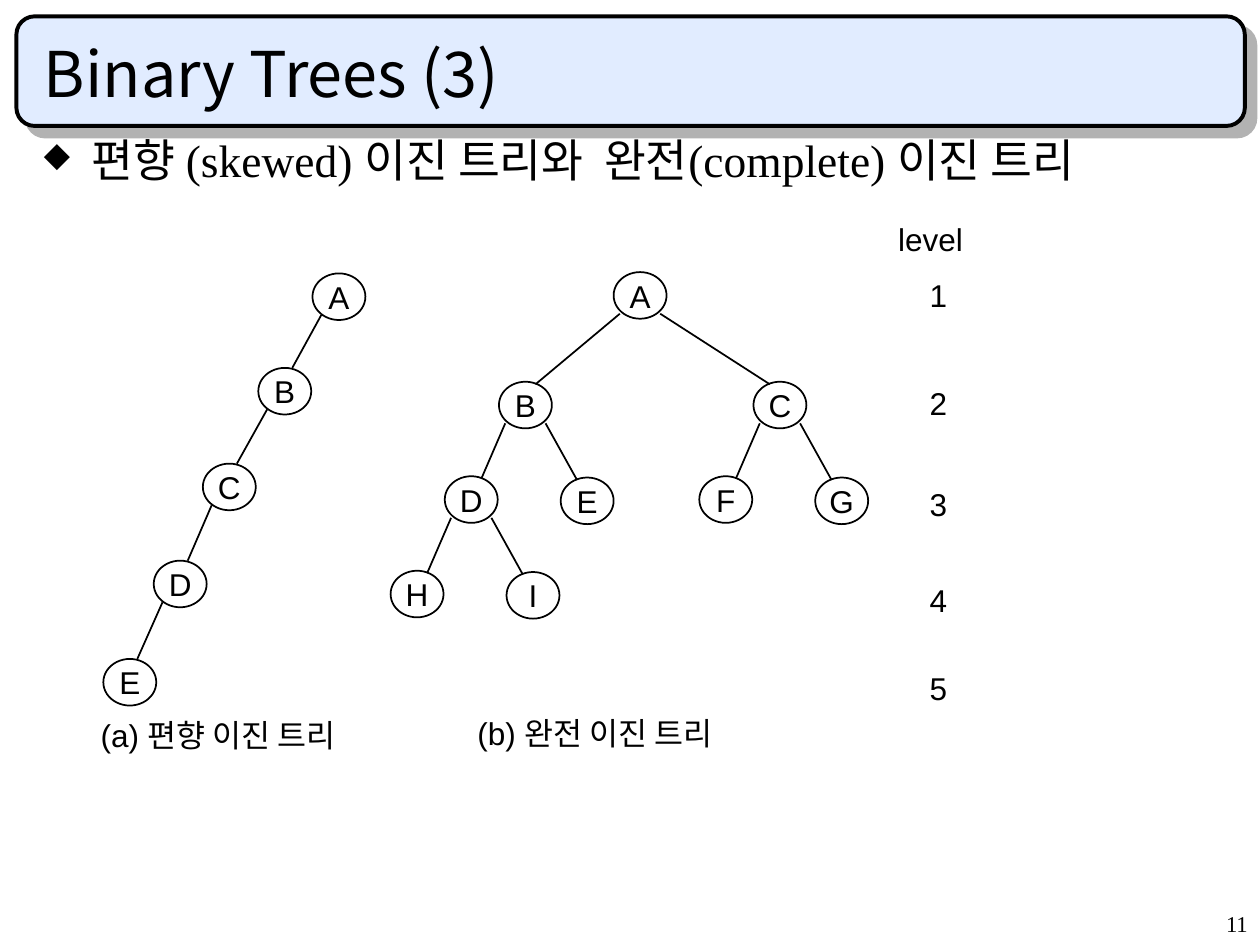
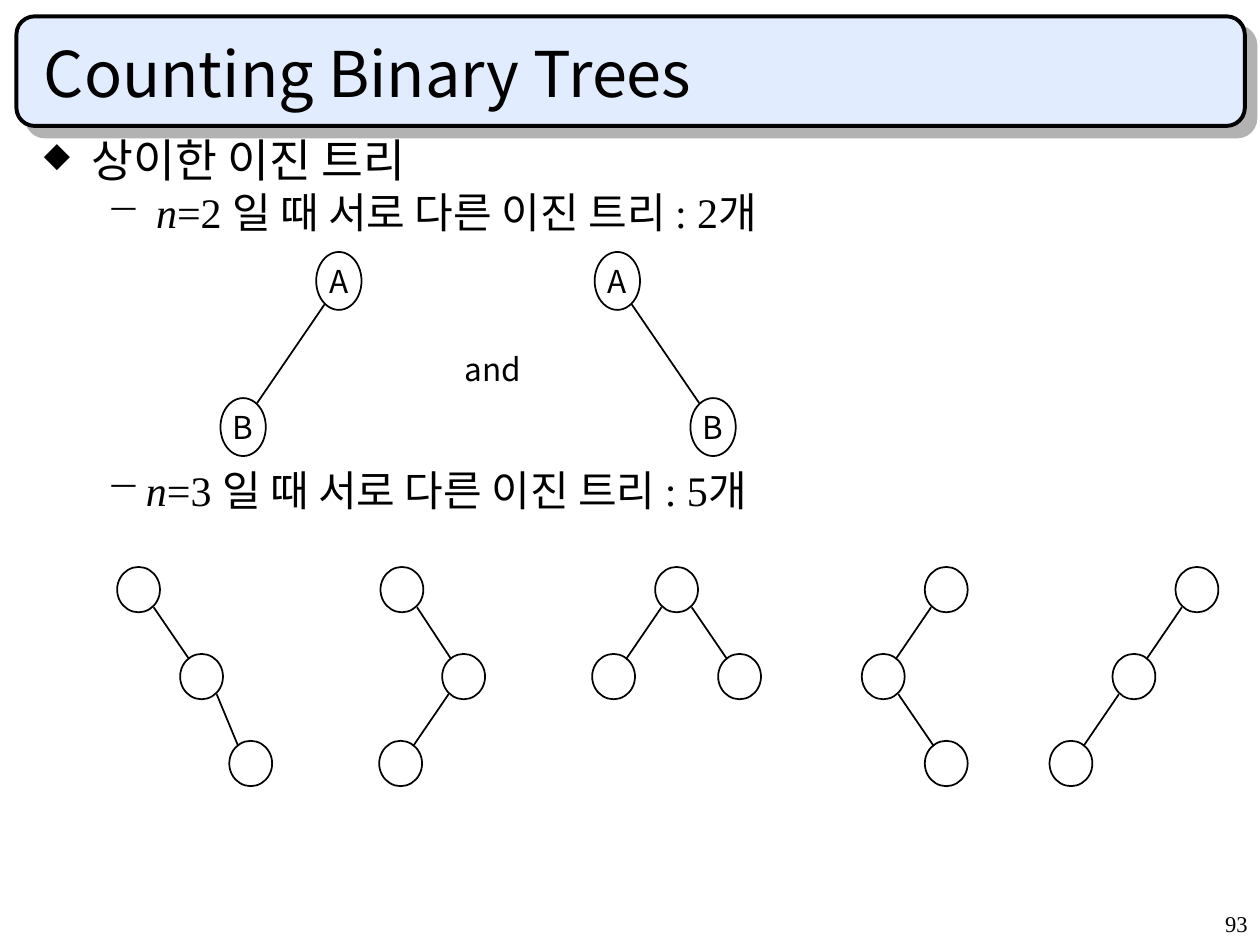
from lxml.etree import SubElement
from pptx import Presentation
from pptx.dml.color import RGBColor
from pptx.enum.shapes import MSO_CONNECTOR as Connector, MSO_SHAPE as Shape
from pptx.enum.text import MSO_ANCHOR as Anchor, PP_ALIGN as Align
from pptx.oxml.ns import qn
from pptx.util import Inches, Pt

BLACK, BAND, SHADOW = "000000", "E1ECFF", "B2B2B2"
SANS, KOREAN, SERIF = "Arial", "Noto Sans CJK KR", "Times New Roman"
DIAMOND = dict(char="◆", percent=75, margin=0.38, hang=0.38, size=26)
DASH = dict(char="−", percent=100, margin=0.81, hang=0.31, size=24)


def color(value):
    return RGBColor.from_string(value)


class TreeDeck:
    """Holds the shared style and the slide being filled."""

    def __init__(self):
        self.deck = Presentation()
        self.deck.slide_width, self.deck.slide_height = Inches(10), Inches(7.5)
        self.page = None

    def new_page(self, title, number):
        self.page = self.deck.slides.add_slide(self.deck.slide_layouts[6])
        self.band()
        self.text(title, 0.25, 0.25, 9.42, 0.67, 36, KOREAN,
                  wrap=True, anchor=Anchor.BOTTOM)
        self.text(number, 7.92, 7.17, 2.08, 0.33, 12.9, SERIF,
                  wrap=True, align=Align.RIGHT)

    def band(self):
        band = self.page.shapes.add_shape(
            Shape.ROUNDED_RECTANGLE, *map(Inches, (0.13, 0.13, 9.75, 0.87)))
        band.adjustments[0] = 0.167
        band.fill.solid()
        band.fill.fore_color.rgb = color(BAND)
        band.line.color.rgb = color(BLACK)
        band.line.width = Pt(2.25)
        band.shadow.inherit = False
        effects = band._element.spPr.find(qn("a:effectLst"))
        shadow = SubElement(effects, qn("a:outerShdw"), dist=str(Pt(8.5)),
                            dir=str(45 * 60000), algn="ctr", rotWithShape="0")
        SubElement(shadow, qn("a:srgbClr"), val=SHADOW)

    def style(self, para, size, face):
        para.font.size = Pt(size)
        para.font.name = face
        para.font.color.rgb = color(BLACK)
        defaults = para._p.pPr.find(qn("a:defRPr"))
        SubElement(defaults, qn("a:ea"), typeface=KOREAN)

    def text(self, words, left, top, width, height, size, face,
             wrap=False, anchor=Anchor.TOP, align=Align.LEFT):
        box = self.page.shapes.add_textbox(
            *map(Inches, (left, top, width, height)))
        frame = box.text_frame
        frame.word_wrap, frame.vertical_anchor = wrap, anchor
        para = frame.paragraphs[0]
        para.add_run().text = words
        para.alignment = align
        self.style(para, size, face)

    def bullets(self, left, top, width, height, items, spacing=0.8):
        """Each item is a bullet kind, an italic start, the text and an extra indent."""
        box = self.page.shapes.add_textbox(
            *map(Inches, (left, top, width, height)))
        frame = box.text_frame
        frame.word_wrap = True
        for index, (kind, italic, words, extra) in enumerate(items):
            para = frame.add_paragraph() if index else frame.paragraphs[0]
            para.line_spacing = spacing
            para.space_before = Pt(6 if index else 0)
            props = para._p.get_or_add_pPr()
            props.set("marL", str(Inches(kind["margin"] + extra)))
            props.set("indent", str(-Inches(kind["hang"] + extra)))
            tint = SubElement(props, qn("a:buClr"))
            SubElement(tint, qn("a:srgbClr"), val=BLACK)
            SubElement(props, qn("a:buSzPct"), val=str(kind["percent"] * 1000))
            SubElement(props, qn("a:buChar"), char=kind["char"])
            if italic:
                span = para.add_run()
                span.text, span.font.italic = italic, True
            para.add_run().text = words
            self.style(para, kind["size"], SERIF)

    def node(self, left, top, size, label, face):
        node = self.page.shapes.add_shape(
            Shape.OVAL, *map(Inches, (left, top, *size)))
        node.fill.background()
        node.line.color.rgb = color(BLACK)
        node.line.width = Pt(1)
        node.shadow.inherit = False
        if label:
            frame = node.text_frame
            frame.word_wrap, frame.vertical_anchor = False, Anchor.MIDDLE
            para = frame.paragraphs[0]
            para.add_run().text = label
            para.alignment = Align.CENTER
            self.style(para, 18, face)

    def edge(self, *ends):
        edge = self.page.shapes.add_connector(
            Connector.STRAIGHT, *map(Inches, ends))
        edge.line.color.rgb = color(BLACK)
        edge.line.width = Pt(1)
        SubElement(edge._element.spPr, qn("a:effectLst"))

    def tree(self, places, edges, size, start, end, labels="", face=SANS):
        """start and end are the offsets of an edge to a left child; right ones mirror them."""
        for index, (left, top) in enumerate(places):
            self.node(left, top, size, labels[index:index + 1], face)
        for parent, child in edges:
            (x1, y1), (x2, y2) = places[parent], places[child]
            dx1, dx2 = start[0], end[0]
            if x2 > x1:
                dx1, dx2 = size[0] - dx1, size[0] - dx2
            self.edge(x1 + dx1, y1 + start[1], x2 + dx2, y2 + end[1])


def children(parent):
    left, top = parent
    return [(left - 0.43, top + 0.75), (left + 0.49, top + 0.76)]


def skewed_and_complete(show):
    show.new_page("Binary Trees (3)", "11")
    show.bullets(0.25, 1.08, 9.42, 5.83, [
        (DIAMOND, "", "편향 (skewed) 이진 트리와  완전(complete) 이진 트리", 0)])
    oval = (0.42, 0.37)

    # Skewed tree
    chain = [(2.48, 2.17), (2.05, 2.92), (1.61, 3.68), (1.22, 4.45), (0.82, 5.23)]
    show.tree(chain, [(i, i + 1) for i in range(4)], oval,
              (0.07, 0.33), (0.27, 0), "ABCDE")

    # Complete tree, numbered level by level
    level_2 = [(3.96, 3.03), (5.98, 3.03)]
    level_3 = children(level_2[0]) + children(level_2[1])
    places = [(4.87, 2.16)] + level_2 + level_3 + children(level_3[0])
    show.tree(places, [((i - 1) // 2, i) for i in range(1, 9)], oval,
              (0.05, 0.33), (0.29, 0.02), "ABCDEFGHI")

    # Levels and captions
    show.text("level", 7.03, 1.7, 0.72, 0.4, 18, SANS)
    for level, top in enumerate((2.14, 3, 3.8, 4.56, 5.26), 1):
        show.text(str(level), 7.28, top, 0.34, 0.4, 18, SANS)
    show.text("(a) 편향 이진 트리", 0.7, 5.63, 2.16, 0.4, 18, SANS)
    show.text("(b) 완전 이진 트리", 3.69, 5.62, 2.16, 0.4, 18, SANS)


def counting(show):
    show.new_page("Counting Binary Trees", "93")
    show.bullets(0.25, 1.08, 9.42, 0.92, [
        (DIAMOND, "", "상이한 이진 트리", 0),
        (DASH, "n", "=2 일 때 서로 다른 이진 트리 : 2개", 0.08)])

    # Two trees of two nodes
    for root, leaf in ((4.72, 5.48), (2.51, 1.75)):
        show.tree([(root, 2), (leaf, 3.16)], [(0, 1)], (0.36, 0.46),
                  (0.07, 0.41), (0.29, 0.04), "AB", KOREAN)
    show.text("and", 3.59, 2.73, 0.65, 0.4, 18, KOREAN)

    # Five trees of three nodes
    show.bullets(0.25, 3.75, 9.5, 0.42, [
        (DASH, "n", "=3 일 때 서로 다른 이진 트리 : 5개", 0)], 0.7)
    rows = (4.5, 5.19, 5.88)
    chains = [(0.93, 1.43, 1.82), (3.02, 3.51, 3.01),
              (7.34, 6.84, 7.34), (9.33, 8.83, 8.33)]
    trees = [(list(zip(chain, rows)), [(0, 1), (1, 2)]) for chain in chains]
    fork = [(5.2, rows[0]), (4.7, rows[1]), (5.7, rows[1])]
    trees.insert(2, (fork, [(0, 1), (0, 2)]))
    for places, edges in trees:
        show.tree(places, edges, (0.34, 0.36), (0.05, 0.32), (0.27, 0.04))


def main():
    show = TreeDeck()
    skewed_and_complete(show)
    counting(show)
    show.deck.save("out.pptx")


if __name__ == "__main__":
    main()
